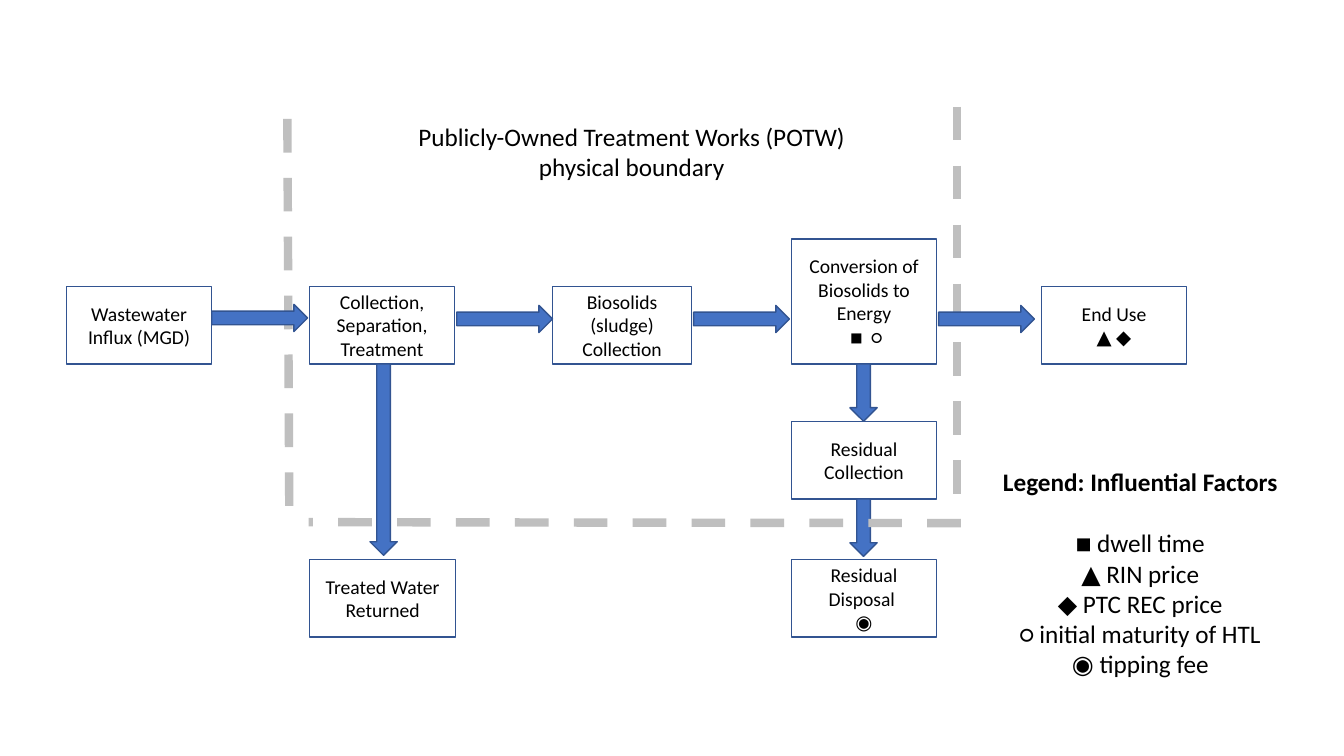
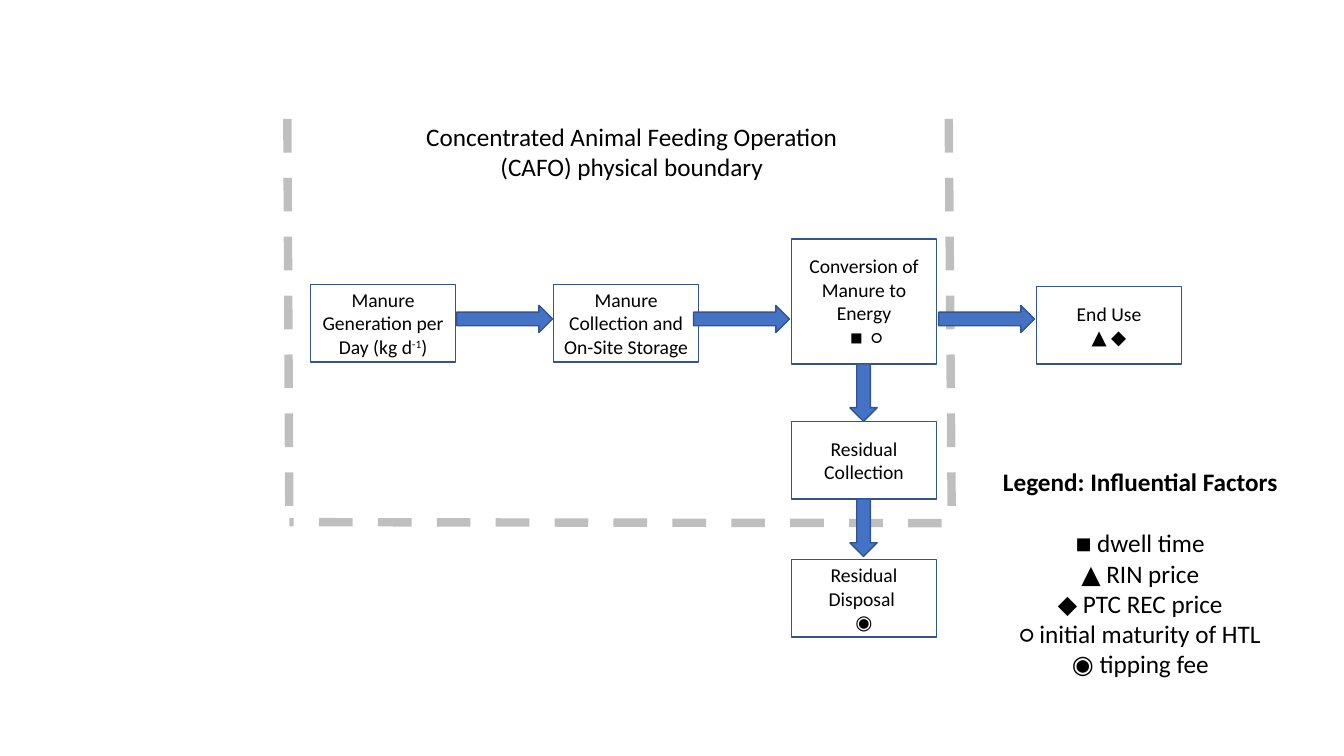
from pptx import Presentation, util as u
from pptx.dml.color import RGBColor
from pptx.enum import dml, shapes, text
from pptx.oxml.ns import qn
from lxml import etree

PX = 9144
THEME = {
    "font": "Calibri", "ink": "000000", "paper": "FFFFFF",
    "edge": "325491", "arrow": "4472C4", "fence": "BFBFBF",
    "small": 14, "large": 18, "thin": 1, "thick": 6,
    "gap": 22, "hang": 20,
}
SIZE = (1333, 750)
BOX = (144, 77)
TITLE = (402, 115, 449, 71)
LEGEND = (974, 458, 314, 222)
BAR = 27

HEAD = "Legend: Influential Factors"
KEYS = ["◼︎ dwell time", "▲ RIN price", "◆ PTC REC price",
        "○ initial maturity of HTL", "◉ tipping fee"]

STEP = 95
DROP = 57
FLOW = [("right", 453, 303, STEP), ("right", 688, 303, STEP),
        ("right", 931, 303, STEP), ("down", 843, 361, DROP),
        ("down", 843, 495, DROP)]
LEFT = (285, 118, 287, 518)
ENDS = [((785, 418, *BOX), ["Residual Collection"]),
        ((785, 555, *BOX), ["Residual Disposal ", "◉"])]
USE = ["End Use", "▲ ◆"]
MARKS = " ◼︎  ○"
CORE = (785, 237, 144, 124)

SLIDES = [
    {
        "title": "Publicly-Owned Treatment Works (POTW) physical boundary",
        "boxes": [
            ((66, 284, *BOX), ["Wastewater Influx (MGD)"]),
            ((307, 284, *BOX), ["Collection, Separation, Treatment"]),
            ((548, 284, 138, 77), ["Biosolids (sludge) Collection"]),
            (CORE, ["Conversion of Biosolids to Energy", MARKS]),
            ((1033, 284, *BOX), USE),
            ((307, 555, 145, 77), ["Treated Water Returned"]),
        ],
        "layers": [
            ("fence", [LEFT, (949, 106, 949, 519)]),
            ("arrow", FLOW),
            ("fence", [(953, 519, 306, 518)]),
            ("arrow", [("right", 210, 302, STEP), ("down", 367, 361, 190)]),
        ],
    },
    {
        "title": "Concentrated Animal Feeding Operation (CAFO) physical boundary",
        "boxes": [
            ((308, 282, *BOX), [("Manure Generation per Day (kg d", "-1", ")")]),
            ((549, 282, *BOX), ["Manure Collection and On-Site Storage"]),
            (CORE, ["Conversion of Manure to Energy", MARKS]),
            ((1028, 284, *BOX), USE),
        ],
        "layers": [
            ("fence", [LEFT, (941, 118, 944, 518), (934, 519, 287, 518)]),
            ("arrow", FLOW),
        ],
    },
]


def px(*vals):
    return [u.Emu(v * PX) for v in vals]


def rgb(name):
    return RGBColor.from_string(THEME[name])


def apply(obj, **vals):
    for key, val in vals.items():
        setattr(obj, key, val)


def write(frame, lines, size):
    frame.word_wrap = True
    for i, line in enumerate(lines):
        para = frame.paragraphs[0] if i == 0 else frame.add_paragraph()
        para.alignment = text.PP_ALIGN.CENTER
        parts = (line,) if isinstance(line, str) else line
        for j, part in enumerate(parts):
            run = para.add_run()
            run.text = part
            apply(run.font, name=THEME["font"], size=u.Pt(THEME[size]))
            run.font.color.rgb = rgb("ink")
            if j == 1:
                run.font._element.set("baseline", "30000")


def shape(slide, kind, place, fill):
    item = slide.shapes.add_shape(kind, *px(*place))
    item.shadow.inherit = False
    item.fill.solid()
    item.fill.fore_color.rgb = rgb(fill)
    item.line.color.rgb = rgb("edge")
    item.line.width = u.Pt(THEME["thin"])
    return item


def box(slide, place, lines):
    item = shape(slide, shapes.MSO_SHAPE.FLOWCHART_PROCESS, place, "paper")
    item.text_frame.vertical_anchor = text.MSO_ANCHOR.MIDDLE
    write(item.text_frame, lines, "small")


def arrow(slide, way, x, y, span):
    if way == "right":
        shape(slide, shapes.MSO_SHAPE.RIGHT_ARROW, (x, y, span, BAR), "arrow")
    else:
        shape(slide, shapes.MSO_SHAPE.DOWN_ARROW, (x, y, BAR, span), "arrow")


def fence(slide, *ends):
    item = slide.shapes.add_connector(shapes.MSO_CONNECTOR.STRAIGHT, *px(*ends))
    item.line.color.rgb = rgb("fence")
    apply(item.line, width=u.Pt(THEME["thick"]),
          dash_style=dml.MSO_LINE.DASH)
    etree.SubElement(item._element.spPr, qn("a:effectLst"))


def label(slide, place, lines):
    frame = slide.shapes.add_textbox(*px(*place)).text_frame
    write(frame, lines, "large")
    frame.auto_size = text.MSO_AUTO_SIZE.SHAPE_TO_FIT_TEXT
    return frame.paragraphs


def legend(slide):
    paras = label(slide, LEGEND, [HEAD, *KEYS])
    hang = THEME["hang"] * PX
    for para in paras:
        props = para._p.get_or_add_pPr()
        props.set("marL", str(hang))
        props.set("indent", str(-hang))
    paras[0].runs[0].font.bold = True
    paras[1].space_before = u.Pt(THEME["gap"])


def main():
    deck = Presentation()
    deck.slide_width, deck.slide_height = px(*SIZE)
    draw = {"fence": fence, "arrow": arrow}
    for page in SLIDES:
        slide = deck.slides.add_slide(deck.slide_layouts[6])
        for place, lines in page["boxes"] + ENDS:
            box(slide, place, lines)
        label(slide, TITLE, [page["title"]])
        legend(slide)
        for kind, items in page["layers"]:
            for item in items:
                draw[kind](slide, *item)
    deck.save("out.pptx")


if __name__ == "__main__":
    main()
